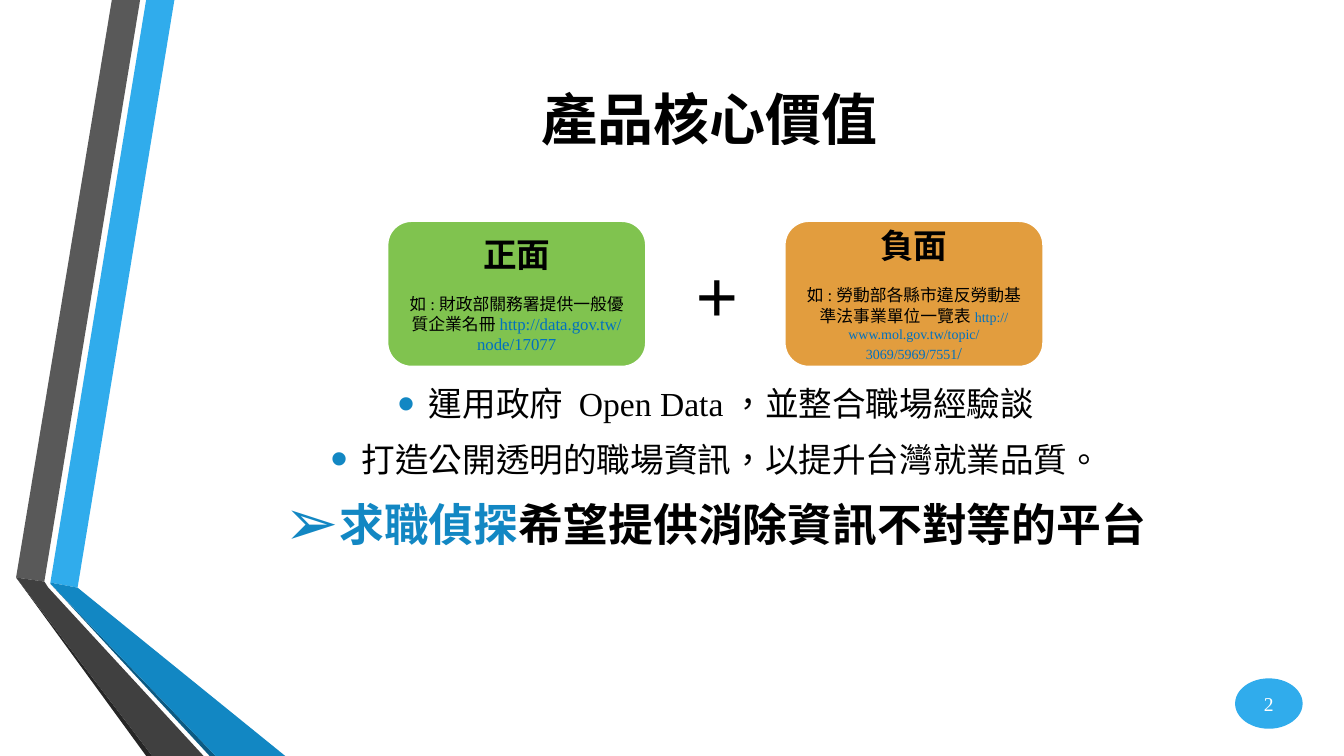
from lxml import etree
from pptx import Presentation
from pptx.dml.color import RGBColor
from pptx.enum import lang, shapes, text
from pptx.oxml import ns
from pptx.util import Inches, Pt

FACE = "Times New Roman"
BLACK, WHITE, SKY, BLUE, LINK = "000000", "FFFFFF", "30ACEC", "1287C3", "0070C0"

# Content: a run is (words, size, colour, bold)
TITLE = [("產品核心價值 ", 40, BLACK, True)]
POINTS = [
    ("•", [("運用政府 Open Data，並整合職場經驗談", 24, BLACK, False)]),
    ("•", [("打造公開透明的職場資訊，以提升台灣就業品質。", 24, BLACK, False)]),
    ("➢", [("求職偵探", 32, BLUE, True),
           ("希望提供消除資訊不對等的平台", 32, BLACK, True)]),
]
CARDS = [
    ("正面", "80C34F", [
        ("如:財政部關務署提供一般優質企業名冊", 12, BLACK, False),
        ("http://data.gov.tw/node/17077", 12, LINK, False)]),
    ("負面", "E29D3E", [
        ("如:勞動部各縣市違反勞動基準法事業單位一覽表", 12, BLACK, False),
        ("http://www.mol.gov.tw/topic/3069/5969/7551", 10, LINK, False),
        ("/", 12, LINK, False)]),
]
BANDS = [
    (SKY, [(0.5, 5.78), (0.77, 5.83), (1.73, 0), (1.45, 0)]),
    ("595959", [(1.39, 0), (1.11, 0), (0.16, 5.73), (0.44, 5.77)]),
    ("262626", [(0.16, 5.73), (1.45, 7.5), (1.51, 7.5)]),
    ("0C5A82", [(0.5, 5.79), (2.08, 7.5), (2.14, 7.5)]),
    (BLUE, [(0.5, 5.79), (2.14, 7.5), (2.83, 7.5), (0.77, 5.83), (0.5, 5.78)]),
    ("404040", [(2.02, 7.5), (0.48, 5.83), (0.44, 5.77), (0.16, 5.73), (1.51, 7.5)]),
]

# Layout
LEFT, WIDE = 1.62, 10.96
CARD_X, CARD_Y, CARD_W, CARD_H, STEP = 3.84, 2.19, 2.57, 1.45, 3.94
MID, CENTER = text.MSO_ANCHOR.MIDDLE, text.PP_ALIGN.CENTER
KIND = shapes.MSO_SHAPE

deck = Presentation()
deck.slide_width, deck.slide_height = Inches(13.33), Inches(7.5)
slide = deck.slides.add_slide(deck.slide_layouts[6])
tree = slide.shapes


def color(code):
    return RGBColor.from_string(code)


def paint(shape, fill, line=None):
    shape.shadow.inherit = False
    shape.fill.solid()
    shape.fill.fore_color.rgb = color(fill)
    if line:
        shape.line.color.rgb = color(line)
        shape.line.width = Pt(1.75)
    else:
        shape.line.fill.background()


def write(para, runs, align=CENTER):
    para.alignment = align
    for words, size, tint, bold in runs:
        run = para.add_run()
        run.text = words
        look = {"name": FACE, "size": Pt(size), "bold": bold,
                "language_id": lang.MSO_LANGUAGE_ID.TRADITIONAL_CHINESE}
        for key, value in look.items():
            setattr(run.font, key, value)
        run.font.color.rgb = color(tint)


def frame(shape, wrap=True, anchor=MID):
    box = shape.text_frame
    box.word_wrap, box.vertical_anchor = wrap, anchor
    return box


def place(x, y, w, h):
    return [Inches(n) for n in (x, y, w, h)]


def bullet(para, mark):
    props = para._p.get_or_add_pPr()
    props.set("marL", str(Inches(0.31)))
    props.set("indent", str(-Inches(0.31)))
    tint = etree.SubElement(props, ns.qn("a:buClr"))
    etree.SubElement(tint, ns.qn("a:srgbClr"), val=BLUE)
    etree.SubElement(props, ns.qn("a:buSzPct"), val="145000")
    etree.SubElement(props, ns.qn("a:buFont"), typeface="Arial")
    etree.SubElement(props, ns.qn("a:buChar"), char=mark)


# Side ribbons
for fill, dots in BANDS:
    dots = [(Inches(x), Inches(y)) for x, y in dots]
    path = tree.build_freeform(*dots[0])
    path.add_line_segments(dots[1:], close=True)
    paint(path.convert_to_shape(), fill)

# Title
box = frame(tree.add_textbox(*place(LEFT, 0.75, WIDE, 0.85)))
write(box.paragraphs[0], TITLE)

# Bullet points
box = frame(tree.add_textbox(*place(LEFT, 2.92, WIDE, 3.42)))
for i, (mark, runs) in enumerate(POINTS):
    para = box.add_paragraph() if i else box.paragraphs[0]
    bullet(para, mark)
    write(para, runs)
    para.space_after = Pt(6)
    if i:
        para.space_before = Pt(runs[0][1] * 0.2)

# Cards
for i, (head, fill, runs) in enumerate(CARDS):
    card = tree.add_shape(KIND.ROUNDED_RECTANGLE,
                          *place(CARD_X + i * STEP, CARD_Y, CARD_W, CARD_H))
    paint(card, fill, WHITE)
    box = frame(card)
    write(box.paragraphs[0], [(head, 24, BLACK, True)])
    para = box.add_paragraph()
    para.space_before = Pt(14)
    write(para, runs)

# Plus sign
box = frame(tree.add_textbox(*place(6.8, 2.41, 0.63, 1.01)), False, text.MSO_ANCHOR.TOP)
write(box.paragraphs[0], [("+", 54, BLACK, True)], text.PP_ALIGN.LEFT)

# Page number
badge = tree.add_shape(KIND.OVAL, *place(12.25, 6.73, 0.67, 0.5))
paint(badge, SKY)
box = frame(badge, False)
for side in ("left", "top", "right", "bottom"):
    setattr(box, "margin_" + side, 0)
write(box.paragraphs[0], [("2", 14, WHITE, False)])

deck.save("out.pptx")
